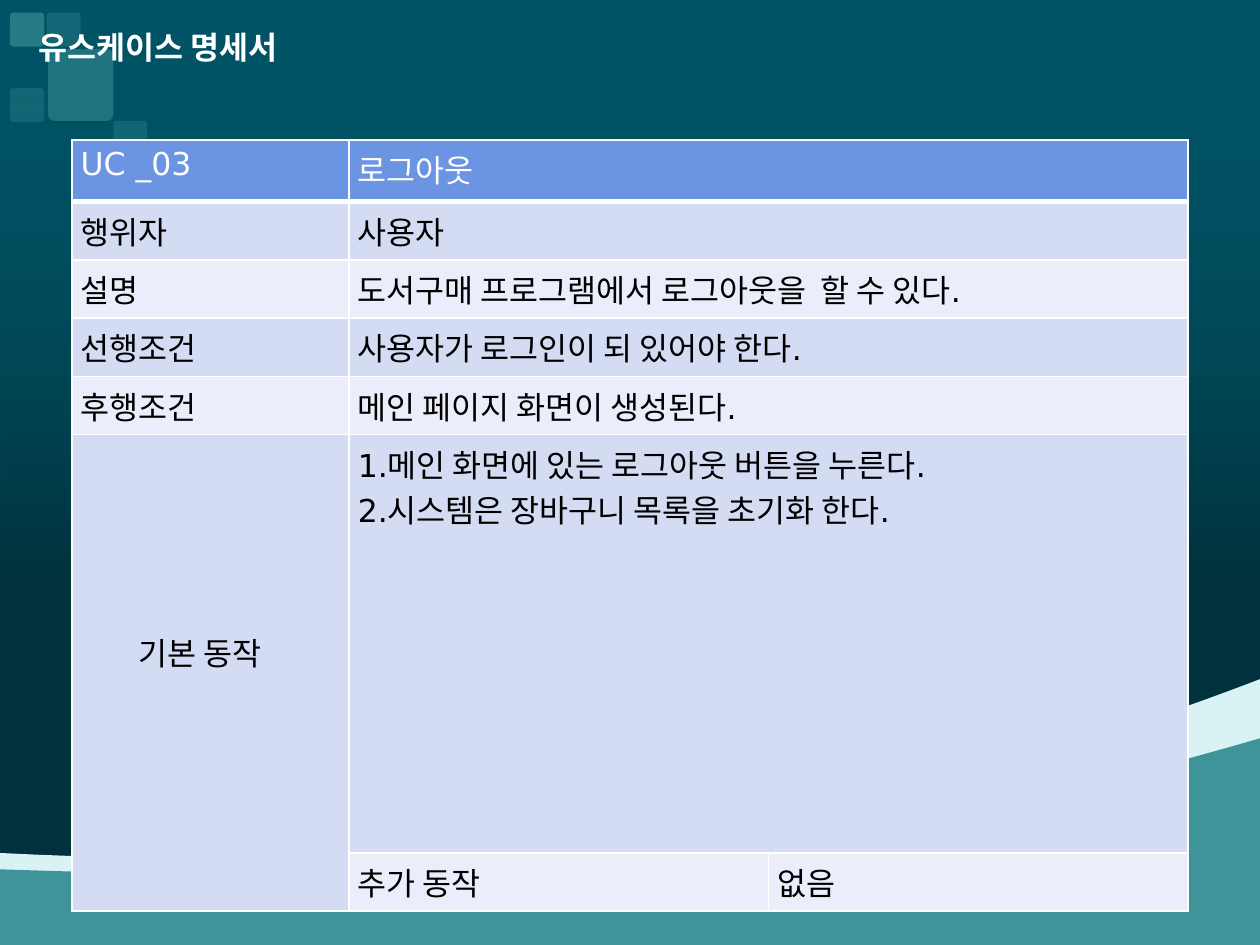
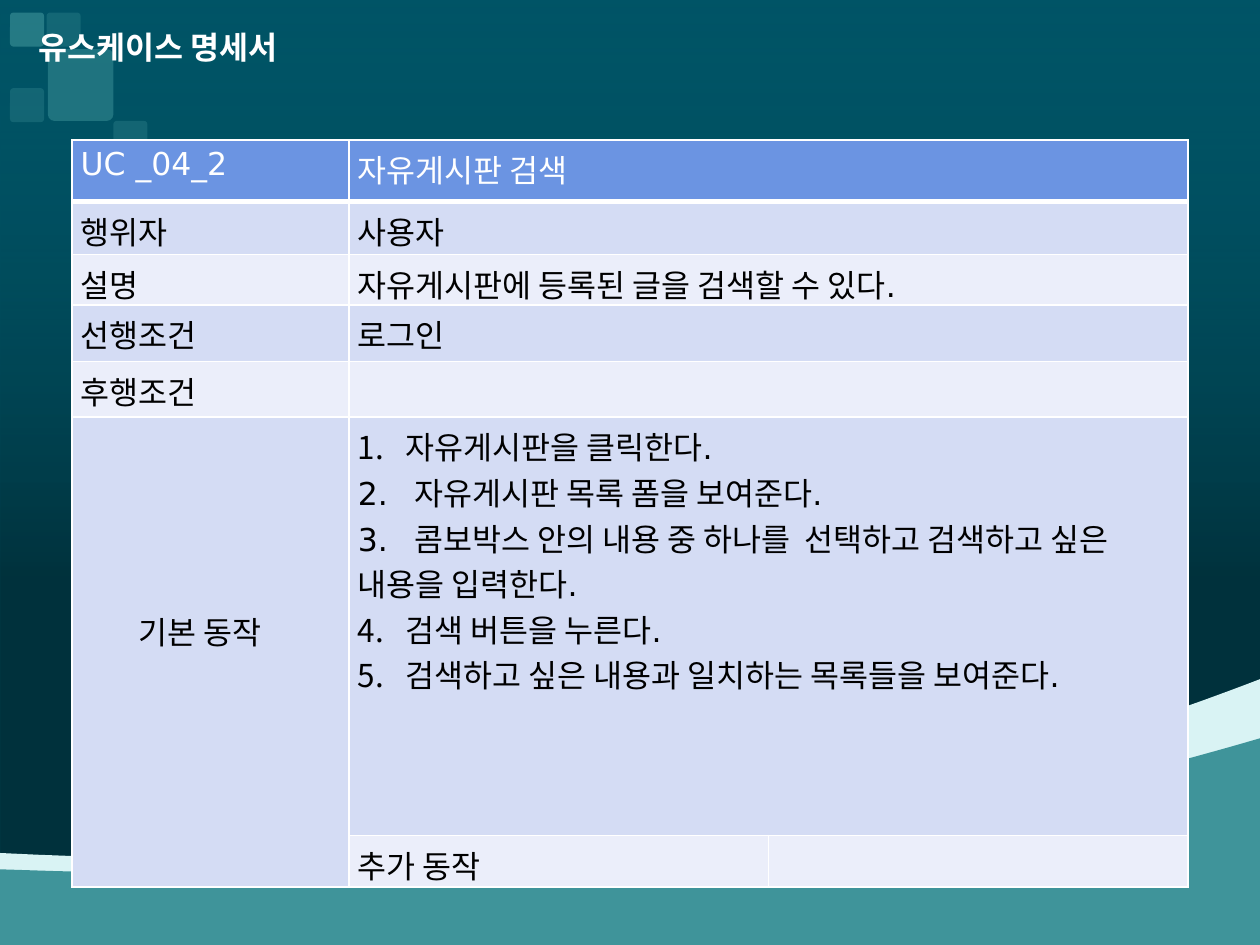
from pptx import Presentation
from pptx.dml.color import RGBColor as Rgb
from pptx.enum.shapes import MSO_SHAPE as Kind
from pptx.enum.text import MSO_ANCHOR as Anchor
from pptx.oxml.ns import qn
from pptx.util import Inches, Pt
from lxml.etree import SubElement as Sub, Element

HUES = {"deep": "005466", "black": "000000", "foam": "D9F3F4", "teal": "3F949A",
        "white": "FFFFFF", "head": "6B94E2", "band": "D4DCF4", "pale": "EBEEFA"}
FONT, SIZE = "DejaVu Sans", 18
TITLE = "유스케이스 명세서"
LABELS = ["행위자", "설명", "선행조건", "후행조건"]
MAIN, EXTRA = "기본 동작", "추가 동작"

CASES = [
    {"code": "UC _03", "name": "로그아웃",
     "facts": ["사용자", "도서구매 프로그램에서 로그아웃을  할 수 있다.",
               "사용자가 로그인이 되 있어야 한다.", "메인 페이지 화면이 생성된다."],
     "steps": [("plain", "1.메인 화면에 있는 로그아웃 버튼을 누른다."),
               ("plain", "2.시스템은 장바구니 목록을 초기화 한다.")],
     "extra": "없음"},
    {"code": "UC _04_2", "name": "자유게시판 검색",
     "facts": ["사용자", "자유게시판에 등록된 글을 검색할 수 있다.", "로그인", ""],
     "steps": [(1, "자유게시판을 클릭한다."),
               ("tab", "2.\t자유게시판 목록 폼을 보여준다."),
               ("tab", "3.\t콤보박스 안의 내용 중 하나를  선택하고 검색하고 싶은 내용을 입력한다."),
               (4, "검색 버튼을 누른다."),
               (4, "검색하고 싶은 내용과 일치하는 목록들을 보여준다.")],
     "extra": ""},
]

COLS = [2.2, 3.33, 3.33]
ROWS = [0.49, 0.42, 0.38, 0.45, 0.44, 3.32, 0.41]
WAVES = [
    ("foam", (0, 6.77), [((1.61, 6.85), (2.93, 6.82), (5.21, 6.59)),
                         ((7.49, 6.35), (9.48, 5.59), (10, 5.39))]),
    ("teal", (0, 6.9), [((2.46, 6.99), (4.45, 6.86), (6.15, 6.67)),
                        ((7.84, 6.49), (9.59, 5.98), (10, 5.86))]),
]
TILES = [(0.37, 0.1, 0.27, 0.27, 30), (0.08, 0.7, 0.27, 0.27, 30),
         (0.08, 0.1, 0.27, 0.27, 60), (0.9, 0.96, 0.27, 0.27, 30),
         (0.38, 0.39, 0.52, 0.57, 50)]


def hue(name):
    return Rgb.from_string(HUES[name])


def fade(shape, *rates):
    for node, rate in zip(shape._element.spPr.iter(qn("a:srgbClr")), rates):
        Sub(node, qn("a:alpha"), val=str(rate * 1000))


def paint(shape, name):
    shape.shadow.inherit = False
    shape.line.fill.background()
    shape.fill.solid()
    shape.fill.fore_color.rgb = hue(name)


def curve(start, bends, steps=16):
    dots = [start]
    for b, c, d in bends:
        a = dots[-1]
        for n in range(1, steps + 1):
            t = n / steps
            u = 1 - t
            dots.append(tuple(u**3 * p + 3 * u * u * t * q + 3 * u * t * t * r + t**3 * s
                              for p, q, r, s in zip(a, b, c, d)))
    return dots


def scene(slide):
    slide.background.fill.solid()
    slide.background.fill.fore_color.rgb = hue("deep")
    shade = slide.shapes.add_shape(Kind.RECTANGLE, 0, 0, Inches(10), Inches(7.5))
    paint(shade, "deep")
    shade.fill.gradient()
    shade.fill.gradient_angle = 270
    for stop, (spot, name) in zip(shade.fill.gradient_stops, [(0, "deep"), (0.61, "black")]):
        stop.position = spot
        stop.color.rgb = hue(name)
    fade(shade, 0, 40)
    for name, start, bends in WAVES:
        dots = curve(start, bends) + [(10, 7.5), (0, 7.5)]
        dots = [(Inches(x), Inches(y)) for x, y in dots]
        form = slide.shapes.build_freeform(*dots[0])
        form.add_line_segments(dots[1:])
        paint(form.convert_to_shape(), name)
    for *box, rate in TILES:
        tile = slide.shapes.add_shape(Kind.ROUNDED_RECTANGLE, *map(Inches, box))
        tile.adjustments[0] = 0.1
        paint(tile, "teal")
        fade(tile, rate)


def style(para, name, bold=False):
    for run in para.runs:
        run.font.name, run.font.size, run.font.bold = FONT, Pt(SIZE), bold
        run.font.color.rgb = hue(name)


def edge(cell, base):
    props = cell._tc.get_or_add_tcPr()
    for n, (side, width) in enumerate([("L", 1), ("R", 1), ("T", 1), ("B", base)]):
        line = Element(qn("a:ln" + side), w=str(Pt(width)))
        Sub(Sub(line, qn("a:solidFill")), qn("a:srgbClr"), val=HUES["white"])
        props.insert(n, line)


def number(para, mode):
    props = para._p.get_or_add_pPr()
    if mode == "tab":
        Sub(Sub(props, qn("a:tabLst")), qn("a:tab"), pos=str(Inches(0.45)), algn="l")
    elif mode != "plain":
        props.set("marL", str(Inches(0.38)))
        props.set("indent", str(-Inches(0.38)))
        Sub(props, qn("a:buFont"), typeface=FONT)
        Sub(props, qn("a:buAutoNum"), type="arabicPeriod", startAt=str(mode))


def sheet(slide, case):
    frame = slide.shapes.add_table(len(ROWS), len(COLS), Inches(0.57), Inches(1.11),
                                   Inches(sum(COLS)), Inches(sum(ROWS)))
    table = frame.table
    table.first_row = table.horz_banding = False
    for col, width in zip(table.columns, COLS):
        col.width = Inches(width)
    for row, height in zip(table.rows, ROWS):
        row.height = Inches(height)
    last = len(ROWS) - 1
    for r in range(last):
        table.cell(r, 1).merge(table.cell(r, 2))
    table.cell(last - 1, 0).merge(table.cell(last, 0))

    texts = [(case["code"], case["name"]), *zip(LABELS, case["facts"]),
             (MAIN, "\n".join(text for _, text in case["steps"])),
             ("", EXTRA, case["extra"])]
    for r, line in enumerate(texts):
        for c, text in enumerate(line):
            table.cell(r, c).text_frame.text = text
    for r in range(len(ROWS)):
        for c in range(len(COLS)):
            cell = table.cell(r, c)
            cell.margin_left = cell.margin_right = Inches(0.07)
            cell.margin_top = cell.margin_bottom = Inches(0.05)
            cell.fill.solid()
            cell.fill.fore_color.rgb = hue("head" if r == 0 else "band" if r % 2 else "pale")
            edge(cell, 1 if r else 3)
            for para in cell.text_frame.paragraphs:
                style(para, "black" if r else "white")
    main = table.cell(last - 1, 0)
    main.vertical_anchor = Anchor.MIDDLE
    main.margin_left, main.margin_bottom = Inches(0.53), Inches(0.39)
    paras = table.cell(last - 1, 1).text_frame.paragraphs
    for para, (mode, _) in zip(paras, case["steps"]):
        number(para, mode)


def title(slide):
    box = slide.shapes.add_textbox(*map(Inches, (0.21, 0.17, 5.38, 0.4)))
    box.text_frame.word_wrap = True
    box.text_frame.text = TITLE
    style(box.text_frame.paragraphs[0], "white", True)


deck = Presentation()
deck.slide_width, deck.slide_height = Inches(10), Inches(7.5)
for case in CASES:
    slide = deck.slides.add_slide(deck.slide_layouts[6])
    scene(slide)
    sheet(slide, case)
    title(slide)
deck.save("out.pptx")
